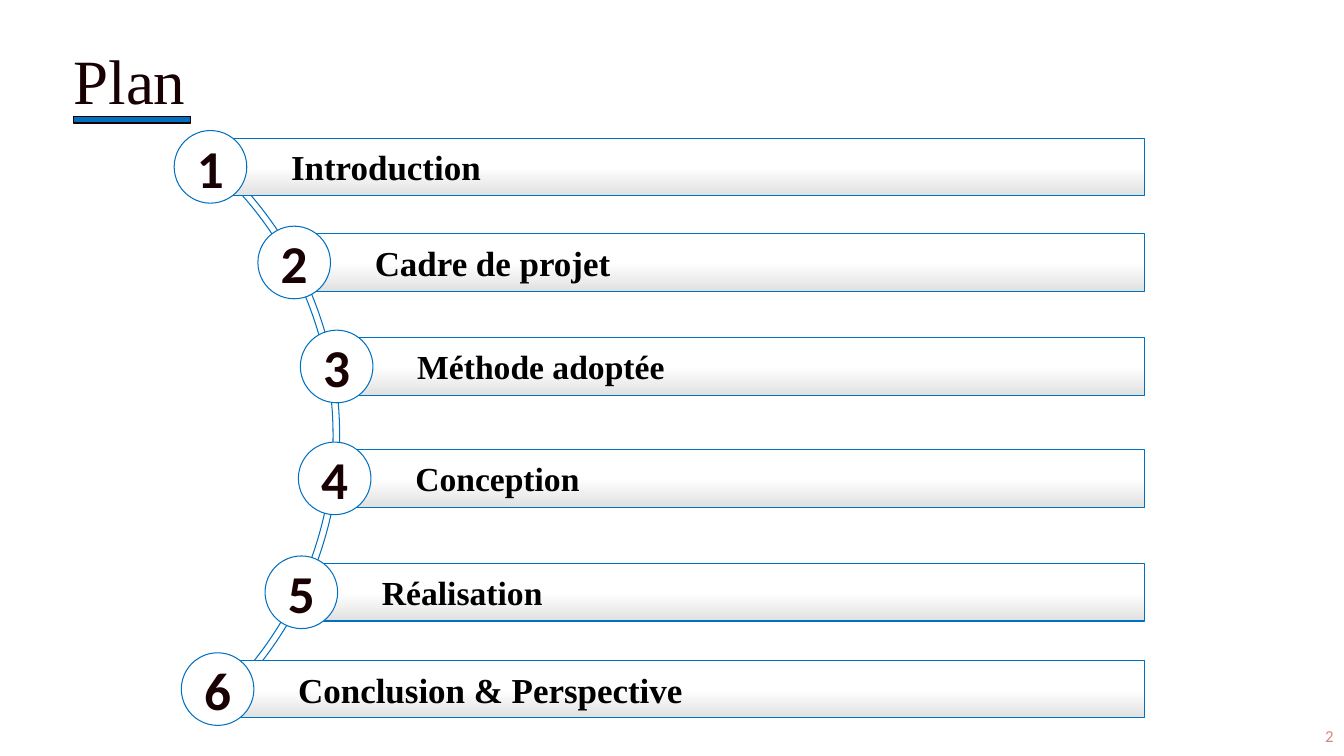
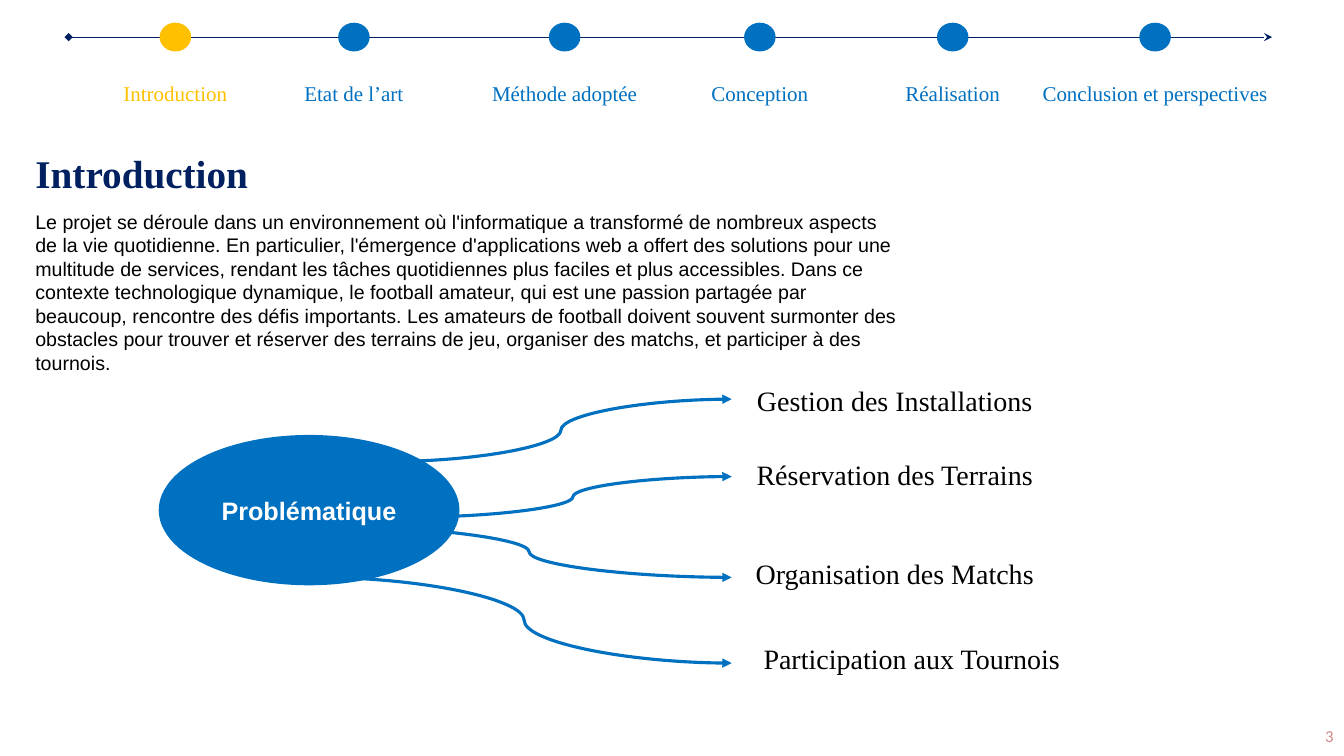
from lxml.etree import SubElement
from pptx import Presentation
from pptx.dml.color import RGBColor
from pptx.enum.shapes import MSO_CONNECTOR, MSO_SHAPE
from pptx.enum.text import MSO_ANCHOR, MSO_AUTO_SIZE, PP_ALIGN
from pptx.oxml.ns import qn
from pptx.util import Cm, Pt

# Shared style
BLUE = RGBColor(0x00, 0x70, 0xC0)
NAVY = RGBColor(0x00, 0x20, 0x60)
GOLD = RGBColor(0xFF, 0xC0, 0x00)
DARK = RGBColor(0x19, 0x01, 0x03)
ROSE = RGBColor(0xD3, 0x88, 0x89)
GREY = RGBColor(0xE1, 0xE1, 0xE1)
BLACK = RGBColor(0x00, 0x00, 0x00)
WHITE = RGBColor(0xFF, 0xFF, 0xFF)
SERIF, SANS, NUMERAL = "Times New Roman", "Arial", "Calibri"
TITLE_ONLY = 5

# Agenda rows: text, size, circle left and bar top within the agenda box (cm)
AGENDA = [
    ("Introduction", 25, 0, 0),
    ("Cadre de projet", 25, 2.11, 2.41),
    ("Méthode adoptée", 24, 3.18, 5.03),
    ("Conception", 24, 3.13, 7.85),
    ("Réalisation", 24, 2.29, 10.72),
    ("Conclusion & Perspective", 25, 0.18, 13.16),
]

# Progress steps: label, dot centre within the band, label width (cm)
STEPS = [
    ("Introduction", 2.69, 3.5),
    ("Etat de l’art", 7.19, 3.5),
    ("Méthode adoptée", 12.5, 4.4),
    ("Conception", 17.42, 3.5),
    ("Réalisation", 22.28, 3.2),
    ("Conclusion et perspectives", 27.38, 6.4),
]

# Topics: text, text box left and top, arrow start, arrow end height,
# all within the problem map (cm)
TOPICS = [
    ("Gestion des Installations", 13.51, 0, (5.79, 2.08), 0.51),
    ("Réservation des Terrains", 13.51, 1.85, (6.4, 3.48), 2.46),
    ("Organisation des Matchs", 13.51, 4.34, (4.19, 3.71), 5.0),
    ("Participation aux Tournois", 13.94, 6.5, (3.94, 5.0), 7.16),
]

CONTEXT = (
    "Le projet se déroule dans un environnement où l'informatique a transformé "
    "de nombreux aspects de la vie quotidienne. En particulier, l'émergence "
    "d'applications web a offert des solutions pour une multitude de services, "
    "rendant les tâches quotidiennes plus faciles et plus accessibles. Dans ce "
    "contexte technologique dynamique, le football amateur, qui est une passion "
    "partagée par beaucoup, rencontre des défis importants. Les amateurs de "
    "football doivent souvent surmonter des obstacles pour trouver et réserver "
    "des terrains de jeu, organiser des matchs, et participer à des tournois."
)


def in_cm(box):
    return [Cm(length) for length in box]


def write(shape, text, size, font, color, bold=False,
          align=PP_ALIGN.LEFT, anchor=MSO_ANCHOR.TOP):
    frame = shape.text_frame
    frame.word_wrap = True
    frame.auto_size = MSO_AUTO_SIZE.NONE
    frame.vertical_anchor = anchor
    paragraph = frame.paragraphs[0]
    paragraph.alignment = align
    run = paragraph.add_run()
    run.text = text
    run.font.size = Pt(size)
    run.font.name = font
    run.font.bold = bold
    run.font.color.rgb = color
    return paragraph


def add_text(slide, box, text, size, font, color, **layout):
    shape = slide.shapes.add_textbox(*in_cm(box))
    write(shape, text, size, font, color, **layout)


def add_figure(slide, kind, box, fill, line, line_width):
    """Add a preset shape; a fill of None leaves it unfilled."""
    shape = slide.shapes.add_shape(kind, *in_cm(box))
    shape.shadow.inherit = False
    if fill is None:
        shape.fill.background()
    else:
        shape.fill.solid()
        shape.fill.fore_color.rgb = fill
    shape.line.color.rgb = line
    shape.line.width = Pt(line_width)
    return shape


def add_arrow(slide, kind, start, end, color, width, tail, head=None):
    connector = slide.shapes.add_connector(kind, *in_cm(start + end))
    connector.line.color.rgb = color
    connector.line.width = Pt(width)
    line = connector.line._get_or_add_ln()
    if head:
        SubElement(line, qn("a:headEnd"), type=head)
    SubElement(line, qn("a:tailEnd"), type=tail)
    SubElement(connector._element.spPr, qn("a:effectLst"))


def add_slide(presentation, number, title, box, size, color, **layout):
    """Start a slide with its title and page number."""
    slide = presentation.slides.add_slide(presentation.slide_layouts[TITLE_ONLY])
    shape = slide.shapes.title
    shape.left, shape.top, shape.width, shape.height = in_cm(box)
    write(shape, title, size, SERIF, color, **layout).line_spacing = 0.9
    add_text(slide, (26.24, 18.03, 7.62, 1.02), str(number), 12, NUMERAL, ROSE,
             align=PP_ALIGN.RIGHT, anchor=MSO_ANCHOR.MIDDLE)
    return slide


def add_agenda(slide, box):
    left, top, width, _ = box
    circle_size, bar_height = 1.83, 1.45
    # Arc that links the numbers
    arc = add_figure(slide, MSO_SHAPE.BLOCK_ARC,
                     (left - 14.4, top - 1.8, 18.57, 18.57), None, BLUE, 0.75)
    for index, value in enumerate((185.849, 30.527, 0.009)):
        arc.adjustments[index] = value

    for number, (text, size, offset, row_top) in enumerate(AGENDA, start=1):
        # Bar, starting behind the middle of its circle
        bar_left = left + offset + circle_size / 2
        bar = add_figure(slide, MSO_SHAPE.RECTANGLE,
                         (bar_left, top + row_top, left + width - bar_left, bar_height),
                         WHITE, BLUE, 0.75)
        bar.fill.gradient()
        bar.fill.gradient_angle = 270
        for stop, color, position in zip(bar.fill.gradient_stops,
                                         (WHITE, GREY), (0.5, 1)):
            stop.color.rgb = color
            stop.position = position
        bar.text_frame.margin_left = Cm(2.03)
        write(bar, text, size, SERIF, BLACK, bold=True, anchor=MSO_ANCHOR.MIDDLE)

        # Numbered circle
        circle_top = top + row_top - (circle_size - bar_height) / 2
        circle = add_figure(slide, MSO_SHAPE.OVAL,
                            (left + offset, circle_top, circle_size, circle_size),
                            WHITE, BLUE, 0.75)
        frame = circle.text_frame
        frame.margin_left = frame.margin_right = 0
        frame.margin_top = frame.margin_bottom = 0
        write(circle, str(number), 38, NUMERAL, DARK, bold=True,
              align=PP_ALIGN.CENTER, anchor=MSO_ANCHOR.MIDDLE)


def add_progress(slide, box, current):
    left, top, width, _ = box
    dot_width, dot_height = 0.76, 0.69
    line_top = top + dot_height / 2
    add_arrow(slide, MSO_CONNECTOR.STRAIGHT, (left, line_top),
              (left + width, line_top), NAVY, 0.75, "stealth", head="diamond")
    for label, center, label_width in STEPS:
        color = GOLD if label == current else BLUE
        middle = left + center
        add_figure(slide, MSO_SHAPE.OVAL,
                   (middle - dot_width / 2, top, dot_width, dot_height),
                   color, color, 1)
        add_text(slide, (middle - label_width / 2, top + 1.31, label_width, 0.89),
                 label, 15, SERIF, color, align=PP_ALIGN.CENTER)


def add_problem_map(slide, box):
    left, top, _, _ = box
    # Arrows and topics
    for text, text_left, text_top, (start_x, start_y), end_y in TOPICS:
        add_arrow(slide, MSO_CONNECTOR.CURVE, (left + start_x, top + start_y),
                  (left + 14.4, top + end_y), BLUE, 2.25, "triangle")
        add_text(slide, (left + text_left, top + text_top, 10, 1.11),
                 text, 20, SERIF, BLACK, align=PP_ALIGN.CENTER)
    # Central problem
    problem = add_figure(slide, MSO_SHAPE.OVAL, (left, top + 1.45, 7.5, 3.71),
                         BLUE, BLUE, 2.25)
    write(problem, "Problématique", 18, SANS, WHITE, bold=True,
          align=PP_ALIGN.CENTER, anchor=MSO_ANCHOR.MIDDLE)


def build_plan(presentation):
    slide = add_slide(presentation, 2, "Plan", (0, 0.84, 6.53, 2.57), 45, DARK,
                      align=PP_ALIGN.CENTER, anchor=MSO_ANCHOR.MIDDLE)
    add_figure(slide, MSO_SHAPE.RECTANGLE, (1.86, 2.93, 2.95, 0.17), BLUE, DARK, 1)
    add_agenda(slide, (4.39, 3.48, 24.46, 14.61))


def build_introduction(presentation):
    slide = add_slide(presentation, 3, "Introduction", (0.64, 3.78, 8.13, 1.45),
                      28, NAVY, bold=True)
    add_progress(slide, (1.73, 0.59, 30.33, 2.2), "Introduction")
    add_text(slide, (0.64, 5.16, 22.35, 3.84), CONTEXT, 14, SANS, BLACK)
    add_problem_map(slide, (4.04, 9.55, 23.94, 7.61))


def main():
    presentation = Presentation()
    presentation.slide_width = Cm(33.87)
    presentation.slide_height = Cm(19.05)
    build_plan(presentation)
    build_introduction(presentation)
    presentation.save("out.pptx")


if __name__ == "__main__":
    main()
